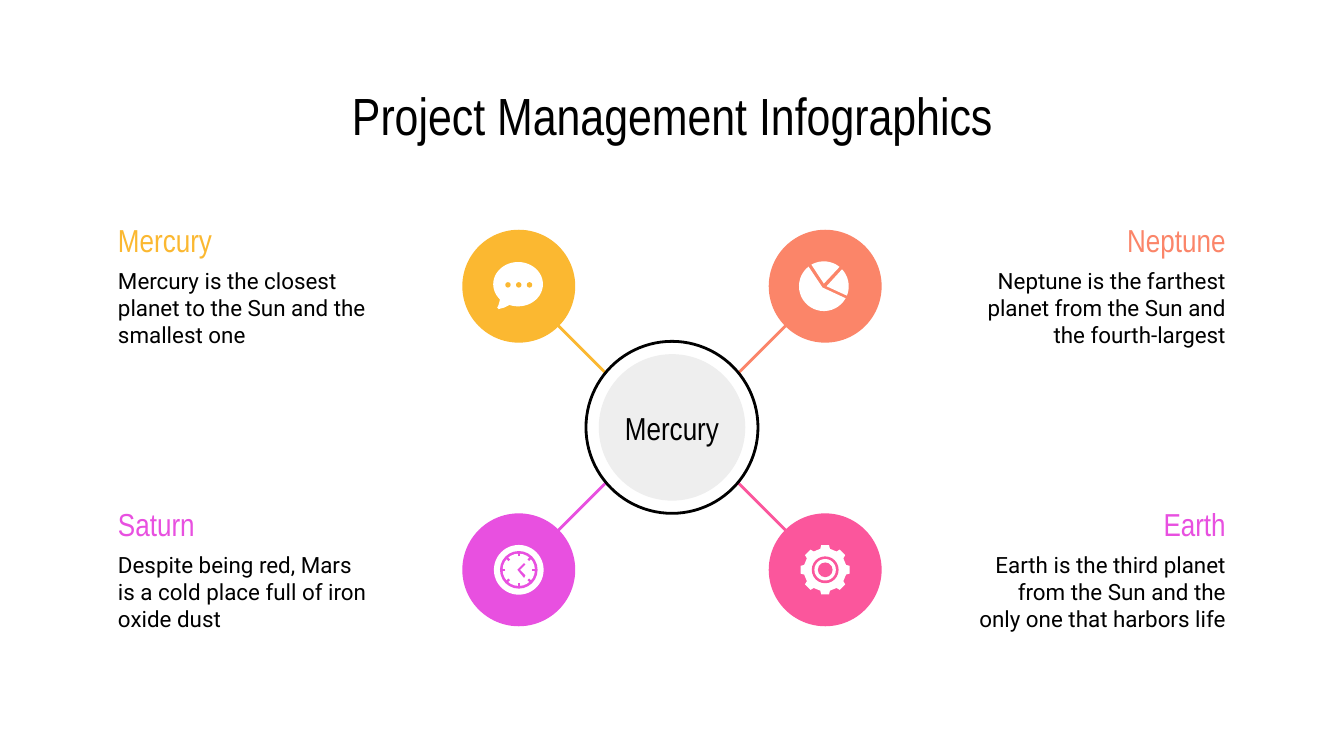
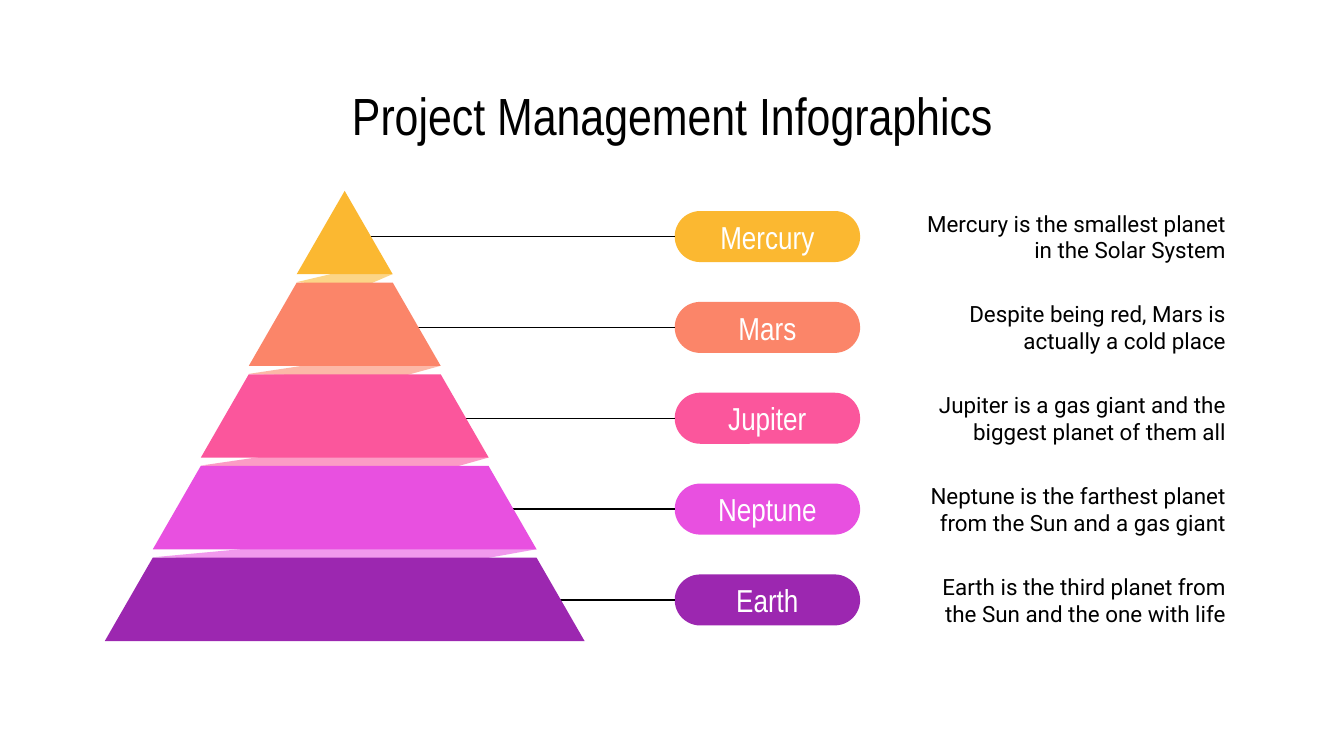
"""Build two project management infographic slides: a hub and a pyramid."""
import math
from dataclasses import dataclass
from typing import Any, Optional

from lxml import etree
from pptx import Presentation
from pptx import util as u
from pptx.dml import color as dml
from pptx.enum import shapes, text
from pptx.oxml import ns

PX = 9144
HEADING_FONT, BODY_FONT = "Arial Narrow", "Roboto"
BLACK, WHITE, GRAY = "000000", "FFFFFF", "EEEEEE"
YELLOW, CORAL, PINK, MAGENTA, PURPLE = "FBB831", "FB8569", "FB569C", "E850E0", "9C27B0"
LEFT, CENTER, RIGHT = text.PP_ALIGN.LEFT, text.PP_ALIGN.CENTER, text.PP_ALIGN.RIGHT
TOP, MIDDLE = text.MSO_ANCHOR.TOP, text.MSO_ANCHOR.MIDDLE
OVAL = shapes.MSO_SHAPE.OVAL
TITLE = "Project Management Infographics"
SLIDE_WIDTH = 1000
DISC_SIZE = 84
HUB_X = 500
PYRAMID_LEFT, PYRAMID_WIDTH, LAYER_HEIGHT = 78, 357, 62

Point = tuple[float, float]
Box = tuple[float, float, float, float]


@dataclass(frozen=True)
class TextStyle:
    font: str
    size: int
    color: str
    align: Any
    anchor: Any = MIDDLE
    side_inset: int = 10


@dataclass(frozen=True)
class Branch:
    label: str
    body: str
    color: str
    label_color: str
    on_left: bool
    on_top: bool


@dataclass(frozen=True)
class Layer:
    label: str
    body: str
    color: str
    line_end: int
    fold: Optional[tuple[Point, Point]] = None


BRANCHES = [
    Branch("Mercury", "Mercury is the closest planet to the Sun and the smallest one", YELLOW, YELLOW, True, True),
    Branch("Neptune", "Neptune is the farthest planet from the Sun and the fourth-largest", CORAL, CORAL, False, True),
    Branch("Saturn", "Despite being red, Mars is a cold place full of iron oxide dust", MAGENTA, MAGENTA, True, False),
    Branch("Earth", "Earth is the third planet from the Sun and the only one that harbors life", PINK, MAGENTA, False, False),
]
LAYERS = [
    Layer("Mercury", "Mercury is the smallest planet in the Solar System", YELLOW, 268, ((259, 201), (269, 214))),
    Layer("Mars", "Despite being red, Mars is actually a cold place", CORAL, 301, ((253, 268), (296, 281))),
    Layer("Jupiter", "Jupiter is a gas giant and the biggest planet of them all", PINK, 323, ((242, 333), (319, 353))),
    Layer("Neptune", "Neptune is the farthest planet from the Sun and a gas giant", MAGENTA, 355, ((208, 406), (342, 419))),
    Layer("Earth", "Earth is the third planet from the Sun and the one with life", PURPLE, 398),
]


def px(length: float) -> u.Emu:
    """Turn px into EMU."""
    return u.Emu(round(length * PX))


def rgb(value: str) -> dml.RGBColor:
    """Turn a hex string into a colour."""
    return dml.RGBColor.from_string(value)


def assign(target: Any, values: dict[str, Any]) -> None:
    """Set each named attribute on the target."""
    for name, value in values.items():
        setattr(target, name, value)


def write(shape: Any, words: str, style: TextStyle) -> None:
    """Put one styled paragraph in a shape."""
    frame = shape.text_frame
    assign(frame, {
        "word_wrap": True, "auto_size": text.MSO_AUTO_SIZE.NONE, "vertical_anchor": style.anchor,
        "margin_left": px(style.side_inset), "margin_right": px(style.side_inset),
        "margin_top": px(10), "margin_bottom": px(10),
    })
    paragraph = frame.paragraphs[0]
    paragraph.alignment = style.align
    run = paragraph.add_run()
    run.text = words
    assign(run.font, {"name": style.font, "size": u.Pt(style.size)})
    run.font.color.rgb = rgb(style.color)


def paint(shape: Any, fill: str, outline: Optional[str] = None) -> Any:
    """Give a shape a flat fill and an optional outline."""
    shape.shadow.inherit = False
    shape.fill.solid()
    shape.fill.fore_color.rgb = rgb(fill)
    if outline:
        shape.line.color.rgb = rgb(outline)
        shape.line.width = u.Pt(1.5)
    else:
        shape.line.fill.background()
    return shape


def add_shape(slide: Any, kind: Any, box: Box, fill: str, outline: Optional[str] = None) -> Any:
    """Draw a preset shape."""
    return paint(slide.shapes.add_shape(kind, *map(px, box)), fill, outline)


def add_disc(slide: Any, center: Point, size: int, fill: str, outline: Optional[str] = None) -> Any:
    """Draw a circle about its centre."""
    x, y = center
    return add_shape(slide, OVAL, (x - size / 2, y - size / 2, size, size), fill, outline)


def add_polygon(slide: Any, points: list[Point], fill: str) -> Any:
    """Draw a closed outline through the points."""
    first, *rest = [(px(x), px(y)) for x, y in points]
    builder = slide.shapes.build_freeform(*first, scale=1.0)
    builder.add_line_segments(rest, close=True)
    return paint(builder.convert_to_shape(), fill)


def add_line(slide: Any, start: Point, end: Point, color: str, width: float) -> Any:
    """Draw a straight line without a shadow."""
    line = slide.shapes.add_connector(shapes.MSO_CONNECTOR.STRAIGHT, *map(px, (*start, *end)))
    line.line.color.rgb = rgb(color)
    line.line.width = u.Pt(width)
    etree.SubElement(line._element.spPr, ns.qn("a:effectLst"))
    return line


def add_text(slide: Any, box: Box, words: str, style: TextStyle) -> None:
    """Draw a text box."""
    write(slide.shapes.add_textbox(*map(px, box)), words, style)


def set_opacity(shape: Any, percent: int) -> None:
    """Make a solid fill see-through."""
    color = shape._element.spPr.find(".//" + ns.qn("a:srgbClr"))
    etree.SubElement(color, ns.qn("a:alpha")).set("val", str(percent * 1000))


def polar(center: Point, radius: float, degrees: float) -> Point:
    """Find a point on a circle, clockwise from the right."""
    angle = math.radians(degrees)
    return center[0] + radius * math.cos(angle), center[1] + radius * math.sin(angle)


def add_titled_slide(presentation: Any) -> Any:
    """Add a slide with the shared title."""
    slide = presentation.slides.add_slide(presentation.slide_layouts[5])
    title = slide.shapes.title
    assign(title, {"left": px(78), "top": px(59), "width": px(844), "height": px(53)})
    write(title, TITLE, TextStyle(HEADING_FONT, 28, BLACK, CENTER))
    return slide


def draw_chat(slide: Any, center: Point, color: str) -> None:
    """Draw a speech bubble with three dots."""
    x, y = center
    add_shape(slide, OVAL, (x - 19, y - 18, 37, 33), WHITE)
    tail = [(-17, 3), (-14, 10), (-15, 14), (-16, 16), (-15, 17), (-11, 16), (-7, 14), (0, 6)]
    add_polygon(slide, [(x + dx, y + dy) for dx, dy in tail], WHITE)
    for dx in (-8, 0, 8):
        add_disc(slide, (x + dx, y - 1), 4, color)


def draw_pie(slide: Any, center: Point, color: str) -> None:
    """Draw a pie of three parted slices."""
    x, y = center
    for dx, dy, start, end in [(-2, 1, 29, 232), (-1, -2, 240, 309), (1, 0, 317, 382)]:
        steps = 24
        arc = [polar((x - 1, y), 18.5, start + (end - start) * step / steps) for step in range(steps + 1)]
        add_polygon(slide, [(x + dx, y + dy), *arc], WHITE)


def draw_clock(slide: Any, center: Point, color: str) -> None:
    """Draw a clock face with eight ticks and its hands."""
    x, y = center
    for size, fill in [(37, WHITE), (28, color), (24, WHITE)]:
        add_disc(slide, center, size, fill)
    for degrees in range(0, 360, 45):
        add_line(slide, polar(center, 10, degrees), polar(center, 13, degrees), color, 1.25)
    hands = [(4, -5), (5, -4), (1, 0), (5, 4), (4, 6), (-1, 0)]
    add_polygon(slide, [(x + dx, y + dy) for dx, dy in hands], color)


def draw_gear(slide: Any, center: Point, color: str) -> None:
    """Draw a gear with eight teeth and a ringed hub."""
    profile = [(-13, 16), (-9, 18.5), (9, 18.5), (13, 16)]
    outline = [polar(center, radius, tooth + offset) for tooth in range(0, 360, 45) for offset, radius in profile]
    add_polygon(slide, outline, WHITE)
    for size, fill in [(20, color), (16, WHITE), (11, color)]:
        add_disc(slide, center, size, fill)


def draw_branch(slide: Any, branch: Branch) -> None:
    """Draw one disc, its spoke and its caption."""
    disc_left = 344 if branch.on_left else 572
    disc_top = 171 if branch.on_top else 382
    add_shape(slide, OVAL, (disc_left, disc_top, DISC_SIZE, DISC_SIZE), branch.color)
    spoke_end = (disc_left + (71 if branch.on_left else 13), disc_top + (71 if branch.on_top else 13))
    add_line(slide, (HUB_X, 327 if branch.on_top else 310), spoke_end, branch.color, 1.5)
    left = 78 if branch.on_left else 716
    top = disc_top - 12
    align = LEFT if branch.on_left else RIGHT
    add_text(slide, (left, top + 30, 206, 84), branch.body, TextStyle(BODY_FONT, 12, BLACK, align, TOP))
    add_text(slide, (left, top, 206, 39), branch.label, TextStyle(HEADING_FONT, 17, branch.label_color, align))


def build_hub(presentation: Any) -> None:
    """Build the slide with four branches around a hub."""
    slide = add_titled_slide(presentation)
    for branch in BRANCHES:
        draw_branch(slide, branch)
    add_disc(slide, (HUB_X, 318), 128, WHITE, BLACK)
    hub = add_disc(slide, (HUB_X, 318), 109, GRAY)
    write(hub, "Mercury", TextStyle(HEADING_FONT, 17, BLACK, CENTER, side_inset=0))
    icons = [draw_chat, draw_pie, draw_clock, draw_gear]
    for branch, draw_icon in zip(BRANCHES, icons):
        center = (386 if branch.on_left else 614, 213 if branch.on_top else 424)
        draw_icon(slide, center, branch.color)


def draw_layer(slide: Any, layer: Layer, index: int) -> None:
    """Draw one pyramid layer with its fold, pill and caption."""
    pill_top = 157 + index * 338 / 5
    pill = add_shape(slide, shapes.MSO_SHAPE.ROUNDED_RECTANGLE, (502, pill_top, 138, 38), layer.color)
    pill.adjustments[0] = 0.5
    write(pill, layer.label, TextStyle(HEADING_FONT, 17, WHITE, CENTER))
    middle = pill_top + 19
    line = add_line(slide, (502, middle), (layer.line_end, middle), BLACK, 0.75)
    line.begin_connect(pill, 1)

    slope = PYRAMID_WIDTH / (2 * len(LAYERS))
    left = PYRAMID_LEFT + slope * (len(LAYERS) - 1 - index)
    right = 2 * PYRAMID_LEFT + PYRAMID_WIDTH - left
    top = 142 + index * 273 / 4
    bottom = top + LAYER_HEIGHT
    if layer.fold:
        back, front = layer.fold
        fold = add_polygon(slide, [back, (left, bottom + 6), front, (right, bottom)], layer.color)
        set_opacity(fold, 58)
    corners = [(left + slope, top), (left, bottom), (right, bottom)]
    if index:
        corners.append((right - slope, top))
    add_polygon(slide, corners, layer.color)
    add_text(slide, (674, pill_top - 10, 248, 58), layer.body, TextStyle(BODY_FONT, 12, BLACK, RIGHT))


def build_pyramid(presentation: Any) -> None:
    """Build the slide with the five-layer pyramid."""
    slide = add_titled_slide(presentation)
    for index, layer in enumerate(LAYERS):
        draw_layer(slide, layer, index)


def main() -> None:
    """Build and save both slides."""
    presentation = Presentation()
    assign(presentation, {"slide_width": px(SLIDE_WIDTH), "slide_height": px(SLIDE_WIDTH * 9 / 16)})
    build_hub(presentation)
    build_pyramid(presentation)
    presentation.save("out.pptx")


if __name__ == "__main__":
    main()
